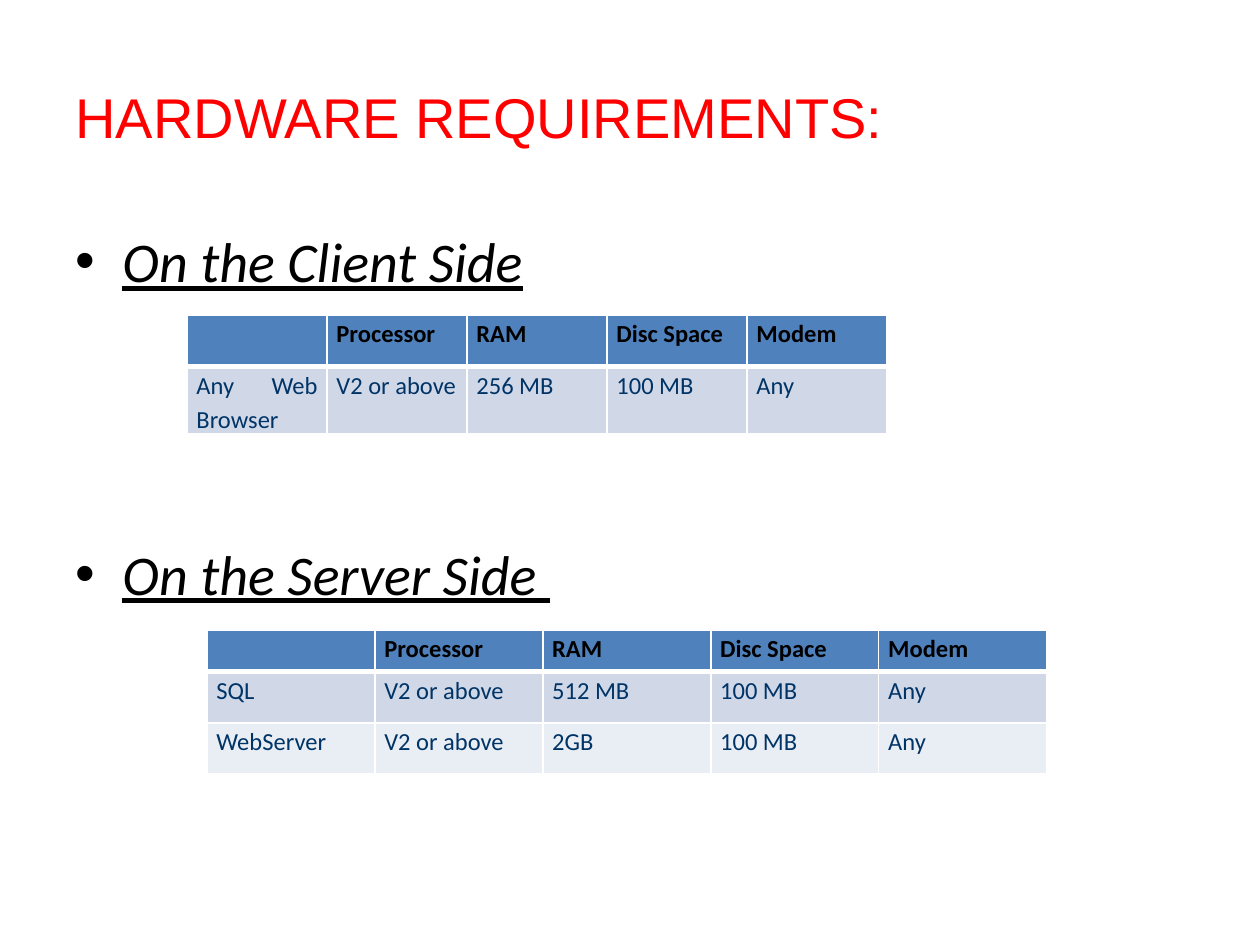
from lxml.etree import SubElement
from pptx import Presentation
from pptx.dml.color import RGBColor
from pptx.enum.text import MSO_ANCHOR, PP_ALIGN
from pptx.oxml import parse_xml
from pptx.oxml.ns import nsdecls, qn
from pptx.util import Cm, Pt

RED = RGBColor(0xFF, 0x00, 0x00)
BLACK = RGBColor(0x00, 0x00, 0x00)
NAVY = RGBColor(0x00, 0x33, 0x66)
WHITE = RGBColor(0xFF, 0xFF, 0xFF)
HEADER_BLUE = RGBColor(0x4F, 0x81, 0xBD)
BANDS = (RGBColor(0xD0, 0xD8, 0xE8), RGBColor(0xE9, 0xED, 0xF4))

HEADER = ("", "Processor", "RAM", "Disc Space", "Modem")
CLIENT_ROWS = (HEADER, ("Any Web Browser", "V2 or above", "256 MB", "100 MB", "Any"))
SERVER_ROWS = (
    HEADER,
    ("SQL", "V2 or above", "512 MB", "100 MB", "Any"),
    ("WebServer", "V2 or above", "2GB", "100 MB", "Any"),
)


def style_font(font, name, size, color):
    """Set the typeface, size and colour of a font."""
    font.name, font.size = name, Pt(size)
    font.color.rgb = color


def add_title(page, box, text):
    """Place the slide title, centred vertically in its box."""
    frame = page.shapes.add_textbox(*box).text_frame
    frame.word_wrap = True
    frame.vertical_anchor = MSO_ANCHOR.MIDDLE
    para = frame.paragraphs[0]
    para.text = text
    style_font(para.font, "Arial", 32, RED)


def add_headings(page, box, headings, gap):
    """Place bulleted headings in one box, with a gap between them."""
    frame = page.shapes.add_textbox(*box).text_frame
    frame.word_wrap = True
    for index, text in enumerate(headings):
        para = frame.add_paragraph() if index else frame.paragraphs[0]
        span = para.add_run()
        span.text = text
        style_font(span.font, "Calibri", 32, BLACK)
        span.font.italic = span.font.underline = True
        para.space_before = gap if index else Pt(0)
        properties = para._p.get_or_add_pPr()
        properties.set("marL", str(Cm(0.95)))
        properties.set("indent", str(Cm(-0.95)))
        SubElement(properties, qn("a:buFont")).set("typeface", "Arial")
        SubElement(properties, qn("a:buChar")).set("char", "•")


def set_borders(cell, widths):
    """Draw white borders; widths are points for left, right, top, bottom."""
    properties = cell._tc.get_or_add_tcPr()
    for index, (side, width) in enumerate(zip("LRTB", widths)):
        properties.insert(index, parse_xml(
            f'<a:ln{side} {nsdecls("a")} w="{Pt(width)}"><a:solidFill>'
            f'<a:srgbClr val="{WHITE}"/></a:solidFill></a:ln{side}>'))


def fill_cell(cell, text, row_index):
    """Write and style one cell according to its row."""
    is_header = row_index == 0
    cell.margin_left = cell.margin_right = Cm(0.19)
    cell.margin_top = cell.margin_bottom = 0
    cell.fill.solid()
    cell.fill.fore_color.rgb = HEADER_BLUE if is_header else BANDS[(row_index - 1) % 2]
    set_borders(cell, (1, 1, 3 if row_index == 1 else 1, 3 if is_header else 1))
    para = cell.text_frame.paragraphs[0]
    para.text = text
    para.alignment = PP_ALIGN.JUSTIFY
    para.line_spacing = 1.15
    style_font(para.font, "Calibri", 14, BLACK if is_header else NAVY)
    para.font.bold = is_header


def add_requirements(page, box, rows, header_height):
    """Place a requirements table with equal columns and equal body rows."""
    left, top, width, height = box
    table = page.shapes.add_table(len(rows), len(HEADER), left, top, width, height).table
    for column in table.columns:
        column.width = width // len(HEADER)
    body_height = (height - header_height) // (len(rows) - 1)
    for row_index, texts in enumerate(rows):
        table.rows[row_index].height = body_height if row_index else header_height
        for column_index, text in enumerate(texts):
            fill_cell(table.cell(row_index, column_index), text, row_index)


def main():
    """Build and save the slide."""
    deck = Presentation()
    deck.slide_width, deck.slide_height = Cm(25.4), Cm(19.05)
    page = deck.slides.add_slide(deck.slide_layouts[6])
    add_title(page, (Cm(1.27), Cm(0.76), Cm(22.86), Cm(3.18)), "HARDWARE REQUIREMENTS:")
    add_headings(page, (Cm(1.27), Cm(4.45), Cm(22.86), Cm(12.57)),
                 ("On the Client Side", "On the Server Side\u00a0"), Pt(140))
    add_requirements(page, (Cm(3.77), Cm(6.35), Cm(14.11), Cm(2.08)), CLIENT_ROWS, Cm(1.04))
    add_requirements(page, (Cm(4.17), Cm(12.7), Cm(16.93), Cm(2.9)), SERVER_ROWS, Cm(0.84))
    deck.save("out.pptx")


main()
